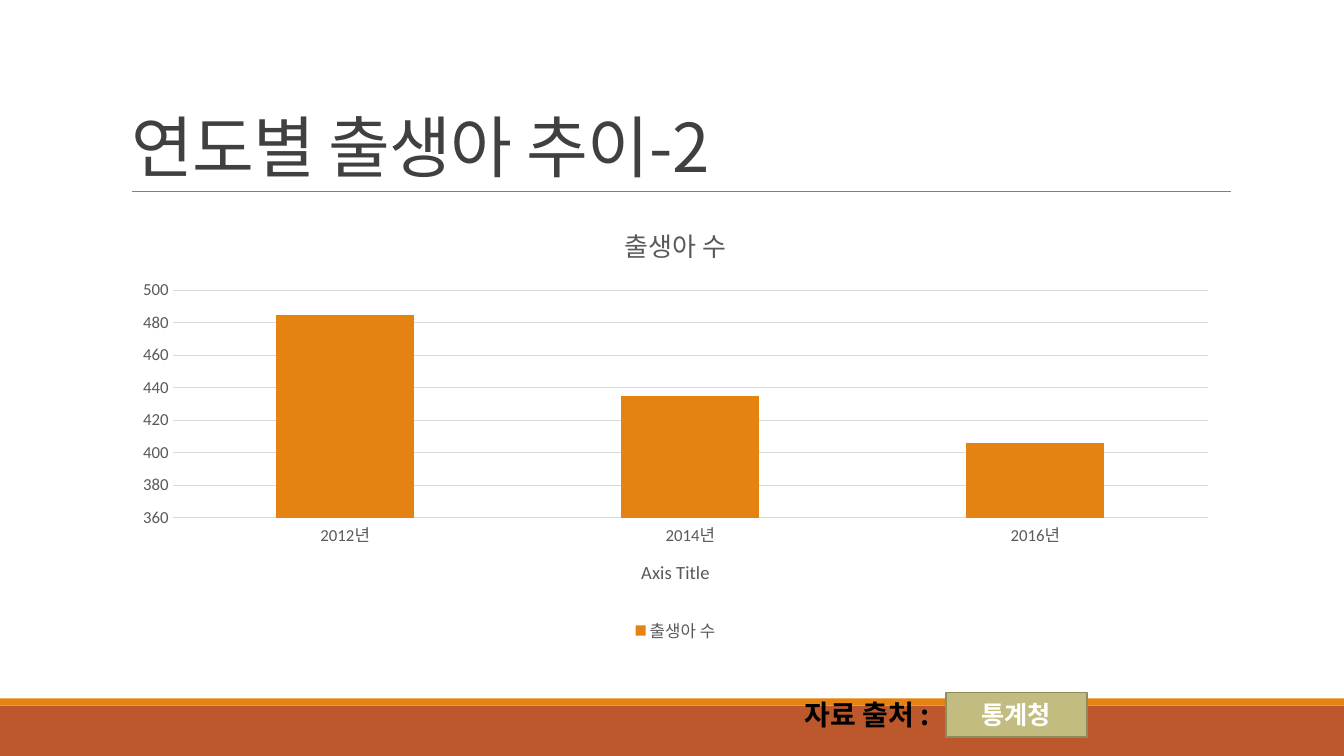
from lxml import etree
from pptx import Presentation
from pptx.chart.data import CategoryChartData
from pptx.dml.color import RGBColor
from pptx.enum.chart import XL_CHART_TYPE, XL_LEGEND_POSITION, XL_TICK_MARK
from pptx.enum.shapes import MSO_CONNECTOR, MSO_SHAPE
from pptx.enum.text import MSO_ANCHOR, MSO_AUTO_SIZE, PP_ALIGN
from pptx.oxml.ns import qn
from pptx.util import Inches, Pt

COLUMN = XL_CHART_TYPE.COLUMN_CLUSTERED
BOTTOM = XL_LEGEND_POSITION.BOTTOM
NO_TICK = XL_TICK_MARK.NONE
STRAIGHT = MSO_CONNECTOR.STRAIGHT
RECT = MSO_SHAPE.RECTANGLE
LOW, MIDDLE = MSO_ANCHOR.BOTTOM, MSO_ANCHOR.MIDDLE
FIXED, GROW = MSO_AUTO_SIZE.NONE, MSO_AUTO_SIZE.SHAPE_TO_FIT_TEXT
LEFT, CENTER = PP_ALIGN.LEFT, PP_ALIGN.CENTER

COLORS = {
    "rust": "BD582C", "orange": "E48312", "rule": "808080",
    "title": "404040", "label": "595959", "grid": "D9D9D9",
    "black": "000000", "white": "FFFFFF", "khaki": "C2BC80",
    "edge": "908B5F",
}
HANGUL = "Noto Sans CJK KR"
LATIN = "Calibri"


def tint(name):
    return RGBColor.from_string(COLORS[name])


class Deck:
    def __init__(self):
        self.show = Presentation()
        self.show.slide_width = Inches(13.33)
        self.show.slide_height = Inches(7.5)
        self.slide = self.show.slides.add_slide(self.show.slide_layouts[5])
        self.shapes = self.slide.shapes

    def style(self, font, size, color, face=LATIN, bold=False):
        font.size = Pt(size)
        font.name = face
        font.bold = bold
        font.color.rgb = tint(color)

    def words(self, frame, text, size, color, align=CENTER, bold=True):
        line = frame.paragraphs[0]
        line.alignment = align
        run = line.add_run()
        run.text = text
        self.style(run.font, size, color, HANGUL, bold)
        props = run.font._element
        east = etree.SubElement(props, qn("a:ea"))
        east.set("typeface", HANGUL)
        return line, props

    def title(self, text, box):
        shape = self.shapes.title
        shape.left, shape.top, shape.width, shape.height = map(Inches, box)
        frame = shape.text_frame
        frame.auto_size = FIXED
        frame.vertical_anchor = LOW
        line, props = self.words(frame, text, 48, "title", LEFT, False)
        line.line_spacing = 0.85
        props.set("spc", "-50")

    def block(self, box, fill, edge=None):
        shape = self.shapes.add_shape(RECT, *map(Inches, box))
        shape.shadow.inherit = False
        shape.fill.solid()
        shape.fill.fore_color.rgb = tint(fill)
        if edge:
            shape.line.color.rgb = tint(edge)
            shape.line.width = Pt(1.25)
        else:
            shape.line.fill.background()
        return shape

    def badge(self, text, box):
        frame = self.block(box, "khaki", "edge").text_frame
        frame.vertical_anchor = MIDDLE
        self.words(frame, text, 18, "white")

    def label(self, text, box):
        frame = self.shapes.add_textbox(*map(Inches, box)).text_frame
        frame.word_wrap = False
        frame.auto_size = GROW
        self.words(frame, text, 20, "black")

    def rule(self, left, right, top):
        line = self.shapes.add_connector(
            STRAIGHT, Inches(left), Inches(top), Inches(right), Inches(top))
        line.line.color.rgb = tint("rule")
        line.line.width = Pt(0.5)
        etree.SubElement(line._element.spPr, qn("a:effectLst"))

    def head(self, frame, text, size):
        run = frame.paragraphs[0].add_run()
        run.text = text
        self.style(run.font, size, "label")

    def chart(self, box, name, cats, vals):
        data = CategoryChartData()
        data.categories = cats
        data.add_series(name, vals)
        chart = self.shapes.add_chart(COLUMN, *map(Inches, box), data).chart
        self.style(chart.font, 10, "black")
        chart.has_title = True
        self.head(chart.chart_title.text_frame, name, 18.6)
        chart.chart_title.include_in_layout = False
        chart.has_legend = True
        chart.legend.position = BOTTOM
        chart.legend.include_in_layout = False
        self.style(chart.legend.font, 12, "label")

        plot = chart.plots[0]
        plot.gap_width = 150
        plot.vary_by_categories = False
        fill = plot.series[0].format.fill
        fill.solid()
        fill.fore_color.rgb = tint("orange")

        years, counts = chart.category_axis, chart.value_axis
        for axis in (years, counts):
            axis.major_tick_mark = axis.minor_tick_mark = NO_TICK
            self.style(axis.tick_labels.font, 12, "label")
        self.head(years.axis_title.text_frame, "Axis Title", 13.3)
        counts.minimum_scale, counts.maximum_scale = 360, 500
        counts.major_unit = 20
        counts.format.line.fill.background()
        for line in (years.format.line, counts.major_gridlines.format.line):
            line.color.rgb = tint("grid")
            line.width = Pt(0.75)


def main():
    deck = Deck()
    deck.block((0, 7, 13.33, 0.5), "rust")
    deck.block((0, 6.93, 13.33, 0.07), "orange")
    deck.rule(1.31, 12.21, 1.9)
    deck.title("연도별 출생아 추이-2", (1.2, 0.31, 11, 1.59))
    deck.chart((1.2, 2.02, 11, 4.4), "출생아 수",
               ("2012년", "2014년", "2016년"), (485, 435, 406))
    deck.label("자료 출처 :", (7.85, 6.87, 1.5, 0.44))
    deck.badge("통계청", (9.38, 6.87, 1.4, 0.44))
    deck.show.save("out.pptx")


if __name__ == "__main__":
    main()
